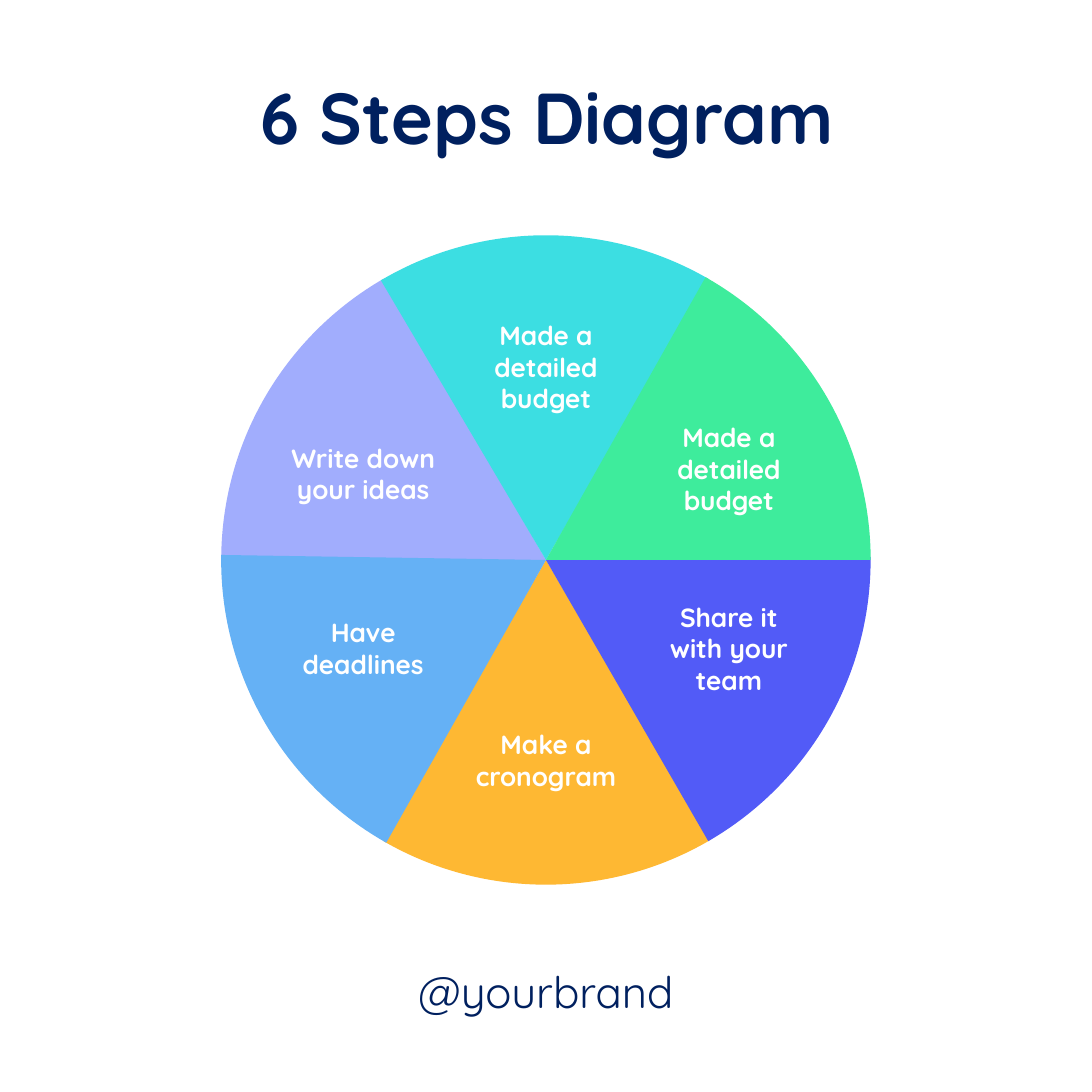
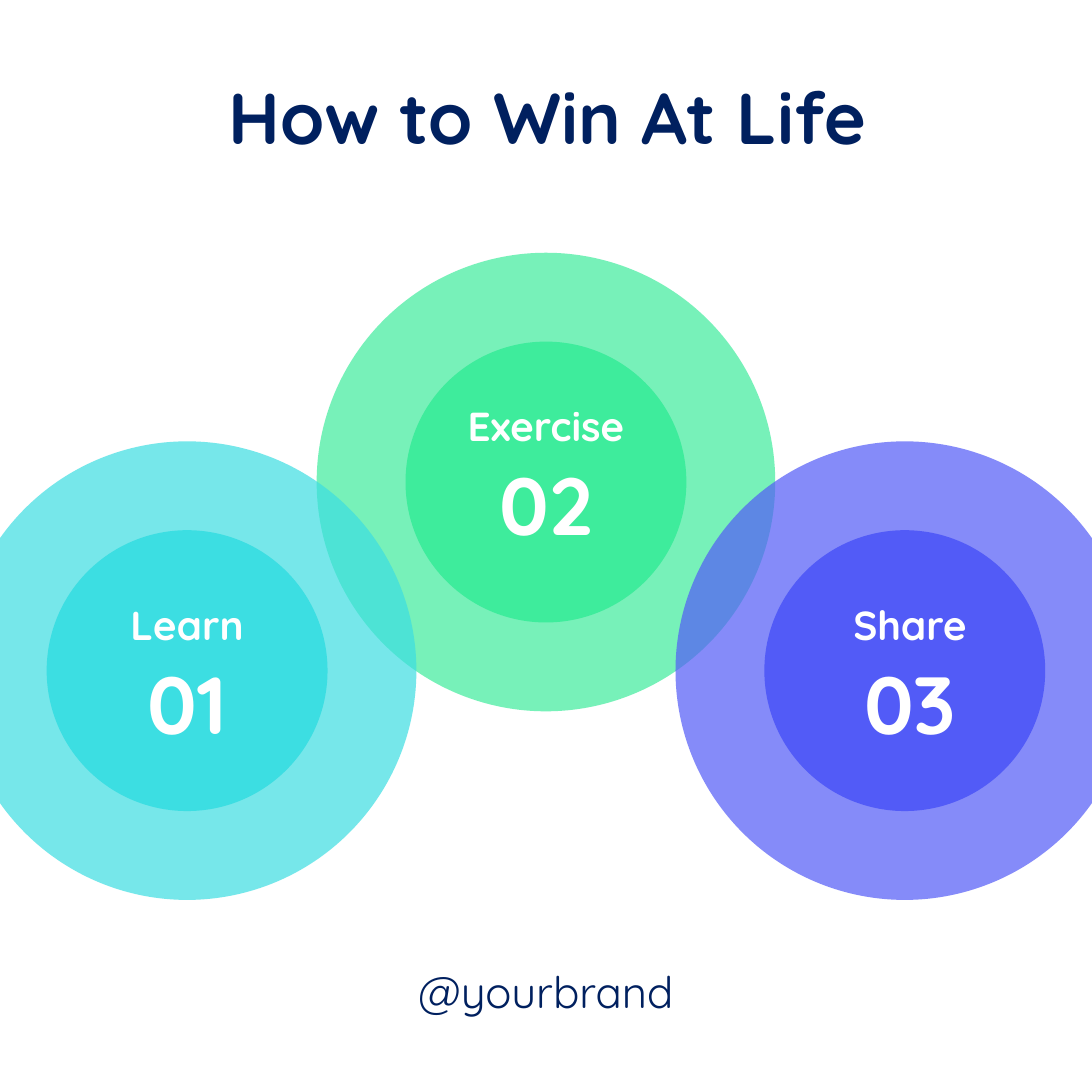
from dataclasses import dataclass
from lxml import etree
from pptx import Presentation
from pptx import util as u
from pptx.dml.color import RGBColor
from pptx.enum import shapes, text
from pptx.oxml.ns import qn


@dataclass(frozen=True)
class Theme:
    font: str = "Quicksand"
    navy: str = "00205F"
    white: str = "FFFFFF"
    cyan: str = "3CDEE2"
    green: str = "3EEC9C"
    indigo: str = "525BF7"
    amber: str = "FEB833"
    blue: str = "65B1F5"
    lilac: str = "A1ADFD"
    title: float = 35.6
    brand: float = 21.6
    label: float = 13
    name: float = 20
    number: float = 40


T = Theme()
SIDE = 19.05
MID = SIDE / 2


def area(x, y, w, h):
    """Box in cm, as lengths."""
    return [u.Cm(v) for v in (x, y, w, h)]


def around(cx, cy, w, h):
    """Box centred on a point."""
    return area(cx - w / 2, cy - h / 2, w, h)


def write(frame, words, size, color, bold=True, anchor=text.MSO_ANCHOR.TOP):
    frame.word_wrap = True
    frame.auto_size = text.MSO_AUTO_SIZE.NONE
    frame.vertical_anchor = anchor
    para = frame.paragraphs[0]
    para.alignment = text.PP_ALIGN.CENTER
    run = para.add_run()
    run.text = words
    font = run.font
    font.name, font.size, font.bold = T.font, u.Pt(size), bold
    font.color.rgb = RGBColor.from_string(color)


def label(slide, box, words, size, color=T.white, bold=True):
    frame = slide.shapes.add_textbox(*box).text_frame
    write(frame, words, size, color, bold)
    return frame


def solid(slide, kind, box, color, alpha=None):
    shape = slide.shapes.add_shape(kind, *box)
    shape.shadow.inherit = False
    shape.line.fill.background()
    shape.fill.solid()
    shape.fill.fore_color.rgb = RGBColor.from_string(color)
    if alpha:
        tone = shape.fill._xPr.find(".//" + qn("a:srgbClr"))
        etree.SubElement(tone, qn("a:alpha")).set("val", str(alpha * 1000))
    return shape


def page(deck, title):
    """Slide with the shared title and brand line."""
    slide = deck.slides.add_slide(deck.slide_layouts[5])
    head = slide.shapes.title
    head.left, head.top, head.width, head.height = area(1.42, 1.14, 16.26, 1.78)
    write(head.text_frame, title, T.title, T.navy)
    label(slide, around(MID, 17.3, 7, 1.17), "@yourbrand", T.brand, T.navy, False)
    return slide


def wheel(slide, cx, cy, size):
    """Six wedges, each with a label offset from the hub."""
    lap = 0.55
    # place on the wheel, colour, words, label offset
    steps = [
        (3, T.lilac, "Write down your ideas", -3.19, -1.51),
        (1, T.amber, "Make a cronogram", 0, 3.49),
        (0, T.indigo, "Share it with your team", 3.19, 1.54),
        (4, T.cyan, "Made a detailed budget", 0, -3.37),
        (2, T.blue, "Have deadlines", -3.19, 1.54),
        (5, T.green, "Made a detailed budget", 3.19, -1.59),
    ]
    for place, color, *_ in steps:
        wedge = solid(slide, shapes.MSO_SHAPE.PIE,
                      around(cx, cy, size, size), color)
        start, end = place * 60 - lap, place * 60 + 60
        if color == T.blue:  # runs slightly over its neighbour
            end += 0.88
        # adjustments count 60000 per degree, in units of 100000
        wedge.adjustments[0] = start % 360 * 0.6
        wedge.adjustments[1] = end % 360 * 0.6
    for _, _, words, dx, dy in steps:
        frame = label(slide, around(cx + dx, cy + dy, 2.64, 1.57), words, T.label)
        frame.vertical_anchor = text.MSO_ANCHOR.MIDDLE
        frame.margin_left = frame.margin_right = u.Cm(0.03)
        frame.margin_top = frame.margin_bottom = u.Cm(0.03)


def disc(slide, cx, cy, color, name, number, dx, dy):
    """Pale ring, full core, name above number."""
    oval = shapes.MSO_SHAPE.OVAL
    solid(slide, oval, around(cx, cy, 8, 8), color, 70)
    solid(slide, oval, around(cx, cy, 4.9, 4.9), color)
    left, top, width = cx + dx - 2.13, cy + dy, 4.26
    label(slide, area(left, top, width, 1.12), name, T.name)
    label(slide, area(left, top + 0.94, width, 1.96), number, T.number)


def trio(slide, cx, cy, step, drop):
    """Three discs, the middle one raised and furthest back."""
    disc(slide, cx, cy, T.green, "Exercise", "02", 0, -1.54)
    disc(slide, cx - step, cy + drop, T.cyan, "Learn", "01", 0, -1.36)
    disc(slide, cx + step, cy + drop, T.indigo, "Share", "03", 0.09, -1.36)


def main():
    deck = Presentation()
    deck.slide_width = deck.slide_height = u.Cm(SIDE)
    wheel(page(deck, "6 Steps Diagram"), MID, 9.77, 11.33)
    trio(page(deck, "How to Win At Life"), MID, 8.41, 6.26, 3.29)
    deck.save("out.pptx")


if __name__ == "__main__":
    main()
